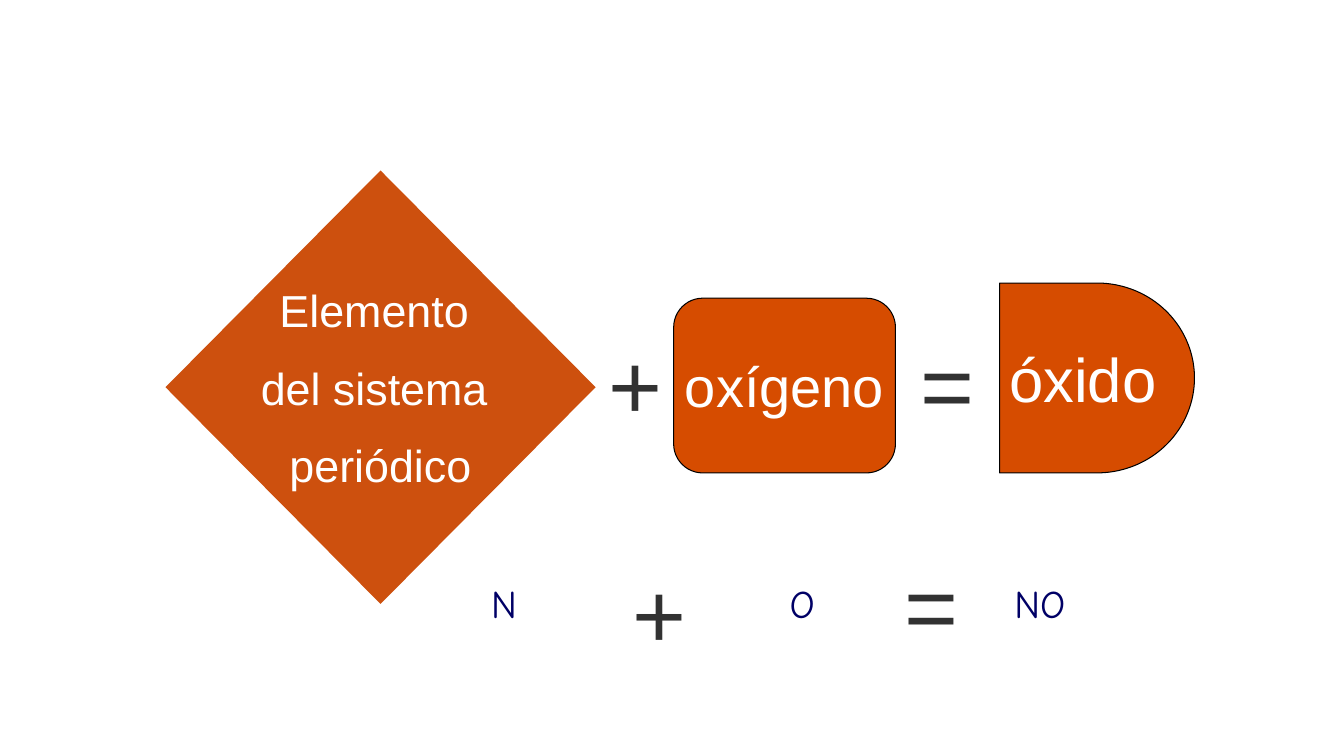
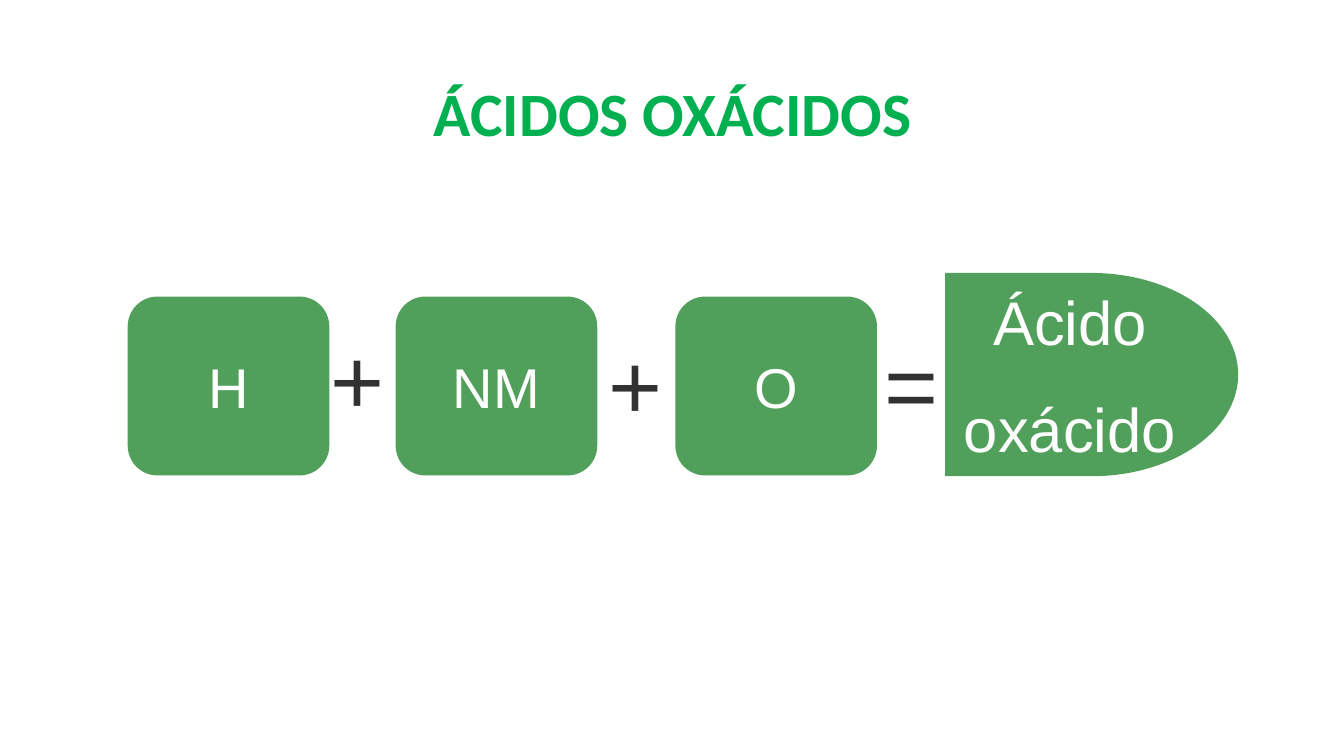
from pptx import Presentation
from pptx.dml.color import RGBColor
from pptx.enum.shapes import MSO_SHAPE
from pptx.enum.text import MSO_ANCHOR, PP_ALIGN
from pptx.util import Inches, Pt

DIAMOND = MSO_SHAPE.FLOWCHART_DECISION
ROUNDED = MSO_SHAPE.FLOWCHART_ALTERNATE_PROCESS
DELAY = MSO_SHAPE.FLOWCHART_DELAY
TOP, MIDDLE = MSO_ANCHOR.TOP, MSO_ANCHOR.MIDDLE
CENTER, RIGHT = PP_ALIGN.CENTER, PP_ALIGN.RIGHT

COLORS = {
    "element": "CD500E",
    "oxide": "D64C00",
    "acid": "509F5A",
    "outline": "000000",
    "label": "FFFFFF",
    "operator": "323232",
    "symbol": "000066",
    "title": "00B050",
}
SLIDE_WIDTH, SLIDE_HEIGHT = Inches(13.33), Inches(7.5)
COLUMNS, ROWS = 160, 90
SPACE_SHARE = 0.54  # paragraph gap as a share of the text size

STYLES = {
    "title": {"size": Pt(44), "name": "Calibri", "bold": True},
    "operator": {"size": Pt(66), "name": "Arial"},
    "symbol": {"size": Pt(28), "name": "Comic Neue"},
    "small label": {"size": Pt(32), "name": "Arial"},
    "label": {"size": Pt(40), "name": "Arial"},
    "large label": {"size": Pt(44), "name": "Arial"},
}
OPERATOR_SIZE = (10.4, 14.4)
SYMBOL_SIZE = (9.6, 6.8)
ACID_BLOCK_SIZE = (24, 21.3)


def place(origin, offset, size):
    """Turn grid columns and rows into left, top, width and height."""
    column, row = (start + step for start, step in zip(origin, offset))
    width, height = size
    return (
        round(SLIDE_WIDTH * column / COLUMNS),
        round(SLIDE_HEIGHT * row / ROWS),
        round(SLIDE_WIDTH * width / COLUMNS),
        round(SLIDE_HEIGHT * height / ROWS),
    )


def write(frame, lines, style, color, align=CENTER, anchor=MIDDLE, wrap=False):
    frame.word_wrap = wrap
    frame.vertical_anchor = anchor
    formats = STYLES[style]
    for index, line in enumerate(lines):
        paragraph = frame.add_paragraph() if index else frame.paragraphs[0]
        paragraph.alignment = align
        paragraph.space_before = Pt(round(formats["size"].pt * SPACE_SHARE))
        run = paragraph.add_run()
        run.text = line
        for attribute, value in formats.items():
            setattr(run.font, attribute, value)
        run.font.color.rgb = RGBColor.from_string(COLORS[color])


def add_block(slide, box, outline, lines, style, fill, outlined=False):
    block = slide.shapes.add_shape(outline, *box)
    block.shadow.inherit = False
    block.fill.solid()
    block.fill.fore_color.rgb = RGBColor.from_string(COLORS[fill])
    if outlined:
        block.line.color.rgb = RGBColor.from_string(COLORS["outline"])
        block.line.width = Pt(0.75)
    else:
        block.line.fill.background()
    write(block.text_frame, lines, style, "label")


def add_operators(slide, origin, operators):
    for sign, offset in operators:
        label = slide.shapes.add_textbox(*place(origin, offset, OPERATOR_SIZE))
        write(label.text_frame, [sign], "operator", "operator", RIGHT, TOP, True)


def add_title(slide, origin, title):
    heading = slide.shapes.add_textbox(*place(origin, (0, 0), (138, 17.4)))
    write(heading.text_frame, [title], "title", "title", anchor=TOP, wrap=True)


def add_oxide_equation(slide, origin):
    add_block(slide, place(origin, (0, 0), (51.2, 51.6)), DIAMOND,
              ["Elemento ", "del sistema ", "periódico"], "small label", "element")
    add_block(slide, place(origin, (60.5, 15.2), (26.4, 20.8)), ROUNDED,
              ["oxígeno"], "label", "oxide", True)
    add_block(slide, place(origin, (99.3, 13.4), (23.2, 22.6)), DELAY,
              ["óxido"], "large label", "oxide", True)
    add_operators(slide, origin, [("+", (50, 18.1)), ("=", (87.1, 18.1))])


def add_oxide_formula(slide, origin):
    for symbol, column in (("N", 0), ("O", 35.5), ("NO", 63.8)):
        label = slide.shapes.add_textbox(*place(origin, (column, 3.7), SYMBOL_SIZE))
        write(label.text_frame, [symbol], "symbol", "symbol", wrap=True)
    add_operators(slide, origin, [("+", (17.3, 0.9)), ("=", (49.7, 0))])


def add_acid_equation(slide, origin):
    for symbol, column in (("H", 0), ("NM", 31.9), ("O", 65.2)):
        add_block(slide, place(origin, (column, 2.8), ACID_BLOCK_SIZE), ROUNDED,
                  [symbol], "label", "acid")
    add_block(slide, place(origin, (97.3, 0), (34.9, 24.2)), DELAY,
              ["Ácido", "oxácido"], "large label", "acid")
    add_operators(slide, origin,
                  [("+", (21.4, 5.3)), ("+", (54.5, 5.9)), ("=", (87.3, 5.9))])


def main():
    presentation = Presentation()
    presentation.slide_width = SLIDE_WIDTH
    presentation.slide_height = SLIDE_HEIGHT
    blank = presentation.slide_layouts[6]

    oxides = presentation.slides.add_slide(blank)
    add_oxide_equation(oxides, (19.7, 20.3))
    add_oxide_formula(oxides, (55.2, 64.7))

    acids = presentation.slides.add_slide(blank)
    add_title(acids, (11.1, 8.3), "ÁCIDOS OXÁCIDOS")
    add_acid_equation(acids, (15.2, 32.5))

    presentation.save("out.pptx")


if __name__ == "__main__":
    main()
